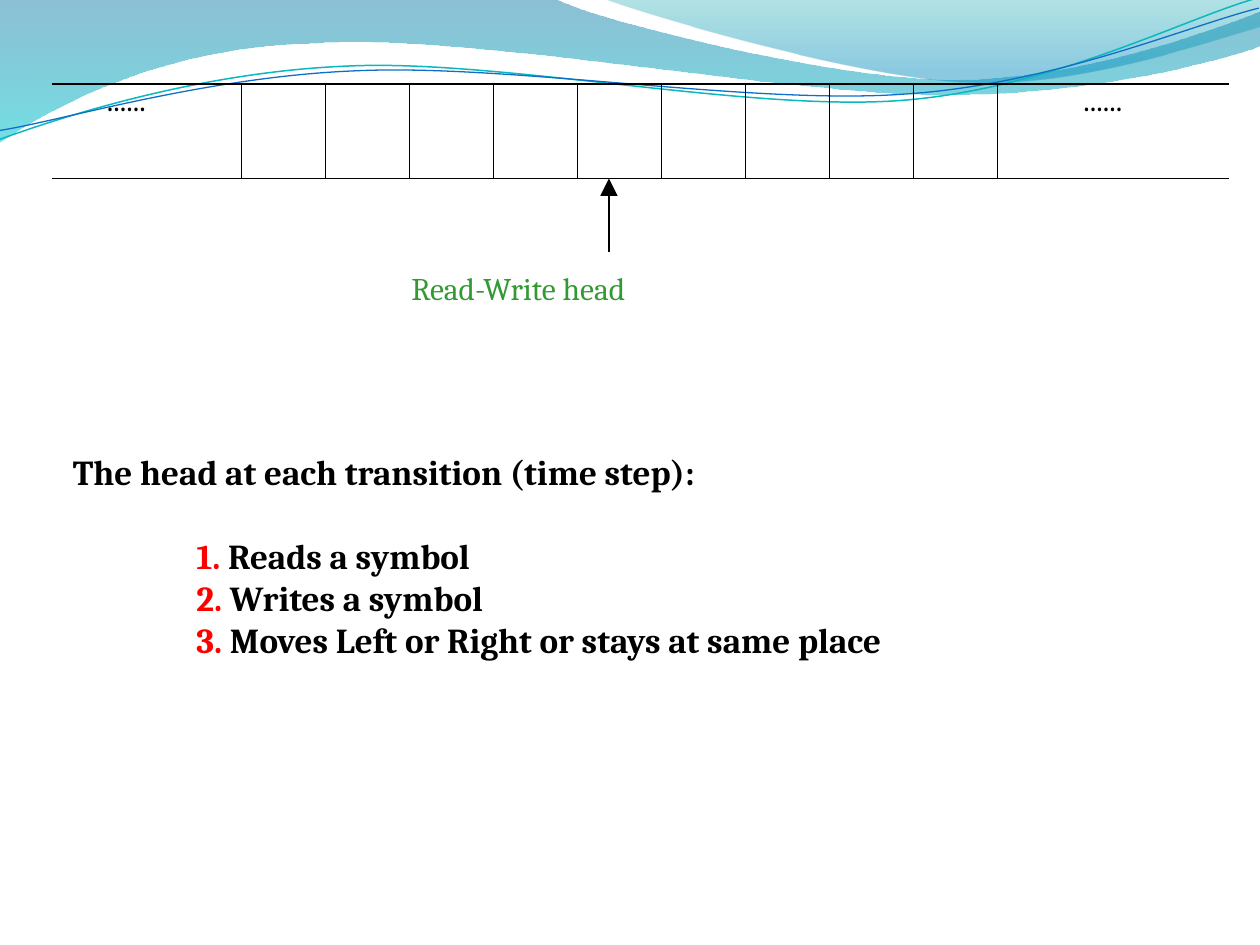
from lxml import etree
from pptx import Presentation
from pptx.dml.color import RGBColor
from pptx.oxml.ns import qn
from pptx.util import Inches, Pt


def paint(color, value):
    color.rgb = RGBColor.from_string(value)


def trace(start, segments, closed):
    """Draw a path of straight (x, y) and cubic (x1, y1, x2, y2, x, y) segments."""
    points = [pair for segment in segments for pair in zip(segment[::2], segment[1::2])]
    builder = page.shapes.build_freeform(*[Inches(length) for length in start], scale=1.0)
    builder.add_line_segments([(Inches(x), Inches(y)) for x, y in points], close=closed)
    shape = builder.convert_to_shape()
    shape.shadow.inherit = False
    corners = iter(list(shape._element.spPr.iter(qn("a:lnTo"))))
    for segment in segments:
        corner = next(corners)
        if len(segment) == 6:
            corner.addprevious(bend := etree.Element(qn("a:cubicBezTo")))
            for part in (corner, next(corners), next(corners)):
                bend.append(part[0])
                part.getparent().remove(part)
    return shape


deck = Presentation()
deck.slide_width, deck.slide_height = Inches(10), Inches(7.5)
page = deck.slides.add_slide(deck.slide_layouts[6])

# Translucent waves: start, segments, gradient stops (position, colour, opacity %)
waves = [
    ((0, 0),
     [(4.4, -0.01), (4.76, 0.17, 6.64, 0.63, 7.58, 0.63),
      (8.53, 0.63, 9.58, 0.26, 10, 0.09), (10.01, 0.36),
      (9.83, 0.44, 8.7, 0.76, 7.46, 0.75), (6.22, 0.75, 3.82, 0.28, 2.57, 0.34),
      (1.29, 0.36, 0.46, 0.83, -0.01, 1.13), (0, 0)],
     [(0, "0074A1", 45), (1, "00C6CF", 55)]),
    ((4.79, -0.01),
     [(5.09, 0.11, 6.82, 0.62, 7.69, 0.65), (8.56, 0.69, 9.61, 0.32, 10, 0.21),
      (10, 0), (4.79, -0.01)],
     [(0, "00A1A9", 30), (0.8, "008BBF", 45)]),
]
for start, segments, stops in waves:
    wave = trace(start, segments, True)
    wave.line.fill.background()
    wave.fill.gradient()
    wave.fill.gradient_angle = 270
    for stop, (position, color, opacity) in zip(wave.fill.gradient_stops, stops):
        stop.position = position
        paint(stop.color, color)
    for tone, (_, _, opacity) in zip(wave._element.spPr.iter(qn("a:srgbClr")), stops):
        etree.SubElement(tone, qn("a:alpha"), val=str(opacity * 1000))

# Thin curves over the waves, tilted slightly
curves = [
    ((-0.02, 0.87), [(0.47, 0.72, 1.58, 0.41, 2.77, 0.42), (3.96, 0.42, 5.91, 0.93, 7.12, 0.9),
                     (8.32, 0.87, 9.4, 0.36, 10, 0.22)], "0AB8BF", 0.85),
    ((-0.02, 0.8), [(0.46, 0.75, 1.64, 0.45, 2.83, 0.46), (4.04, 0.46, 5.96, 0.88, 7.16, 0.85),
                    (8.35, 0.83, 9.42, 0.42, 10.01, 0.3)], "0F6FC6", 0.75),
]
for start, segments, color, width in curves:
    curve = trace(start, segments, False)
    curve.rotation = 357.3
    curve.fill.background()
    paint(curve.line.color, color)
    curve.line.width = Pt(width)

# Tape: two rails, ten evenly spaced cell walls, then the head arrow
top, bottom, left, right = 2 / 3, 17 / 12, 5 / 12, 9.75
first_wall, cell_width = 23 / 12, 2 / 3
walls = [first_wall + cell_width * index for index in range(10)]
lines = [(left, y, right, y) for y in (top, bottom)]
lines += [(x, top, x, bottom) for x in walls]
lines.append((29 / 6, 2, 29 / 6, bottom))
for ends in lines:
    line = page.shapes.add_connector(1, *[Inches(end) for end in ends])
    paint(line.line.color, "000000")
    line.line.width = Pt(0.75)
    etree.SubElement(line._element.spPr, qn("a:effectLst"))
head_arrow = line
etree.SubElement(head_arrow.line._get_or_add_ln(), qn("a:tailEnd"),
                 type="triangle", w="lg", len="lg")

# Text: place, size, bold, paragraphs as (indent, space before, runs)
black, red, green = "000000", "FF0000", "339933"
actions = ["Reads a symbol", "Writes a symbol", "Moves Left or Right or stays at same place"]
steps = [(0, 0, [("The head at each transition (time step):", black)])]
for number, action in enumerate(actions, 1):
    gap = 23.5 if number == 1 else 0
    steps.append((0.98, gap, [(f"{number}.", red), (f" {action}", black)]))
dots = [(0, 0, [("......", black)])]
texts = [
    ((8.5, 7 / 12, 0.87, 0.63), 18, False, dots),
    ((0.75, 7 / 12, 0.87, 0.63), 18, False, dots),
    ((19 / 6, 25 / 12, 3.77, 0.63), 18, False, [(0, 0, [("Read-Write head", green)])]),
    ((0.48, 3.53, 6.95, 1.78), 20, True, steps),
]
for place, size, bold, paragraphs in texts:
    box = page.shapes.add_textbox(*[Inches(length) for length in place])
    frame = box.text_frame
    frame.word_wrap = True
    for index, (indent, gap, runs) in enumerate(paragraphs):
        para = frame.add_paragraph() if index else frame.paragraphs[0]
        para.space_before = Pt(gap)
        para._p.get_or_add_pPr().set("marL", str(Inches(indent)))
        for words, color in runs:
            span = para.add_run()
            span.text = words
            span.font.name = "Cambria"
            span.font.size = Pt(size)
            span.font.bold = bold
            paint(span.font.color, color)

deck.save("out.pptx")
